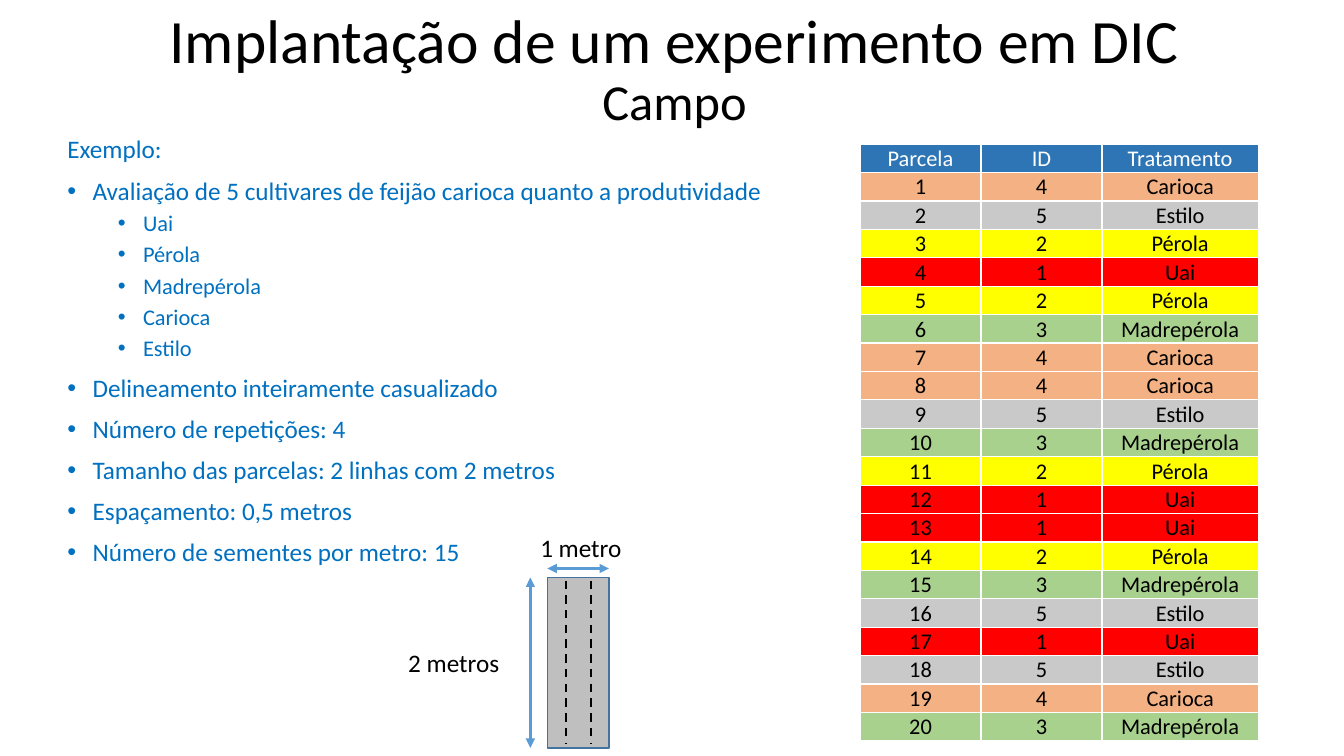
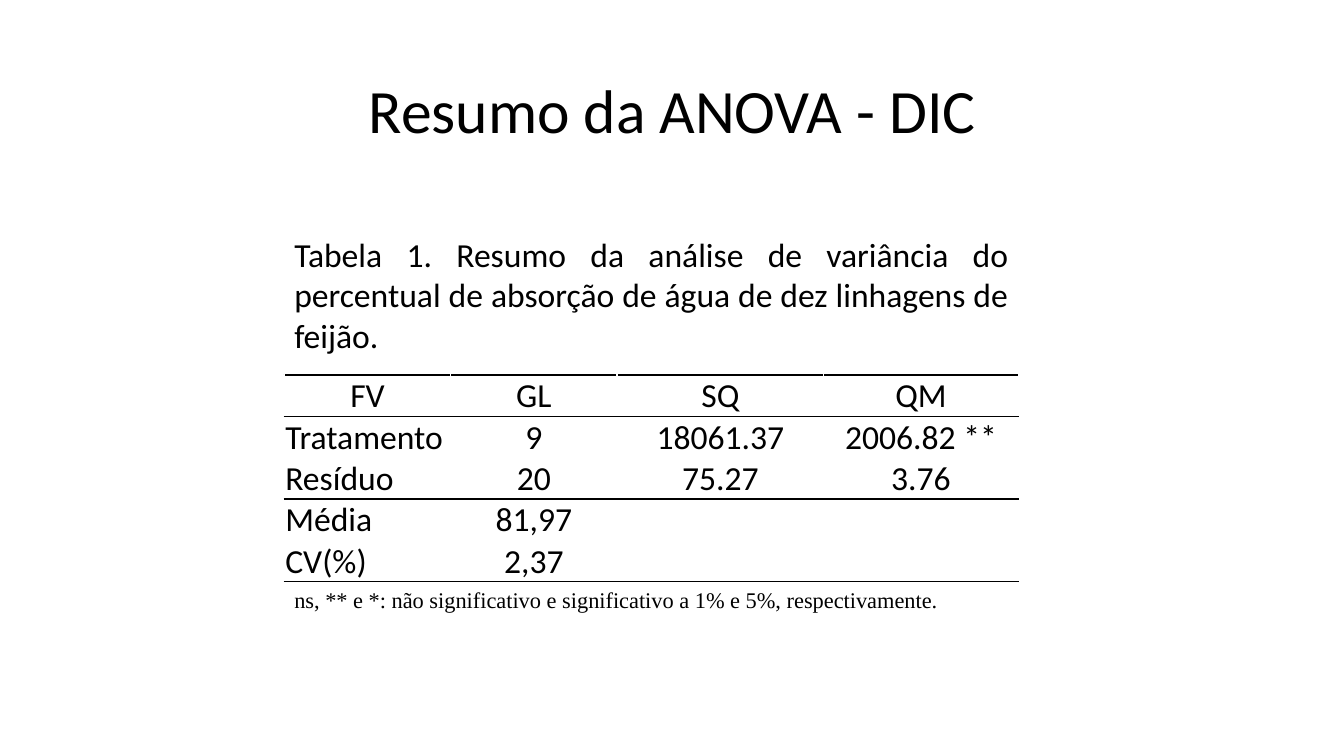
from dataclasses import dataclass

from lxml import etree
from pptx import Presentation
from pptx import util as u
from pptx.dml.color import RGBColor
from pptx.enum import dml, shapes, text
from pptx.oxml.ns import qn

I = u.Inches
AL, ANC = text.PP_ALIGN, text.MSO_ANCHOR


@dataclass(frozen=True)
class Theme:
    font: str = "Calibri"
    note_font: str = "Times New Roman"
    black: str = "000000"
    white: str = "FFFFFF"
    blue: str = "0070C0"
    header: str = "2E75B6"
    arrow: str = "5B9BD5"
    plot: str = "BFBFBF"
    plot_line: str = "43739E"
    title: int = 44
    subtitle: int = 36
    large: int = 24
    body: int = 18
    small: int = 16


T = Theme()

# Cultivar number: name and colour
CULTIVARS = {
    1: ("Uai", "FF0000"),
    2: ("Pérola", "FFFF00"),
    3: ("Madrepérola", "A9D18E"),
    4: ("Carioca", "F4B183"),
    5: ("Estilo", "C9C9C9"),
}
DRAW = [4, 5, 2, 1, 2, 3, 4, 4, 5, 3, 2, 1, 1, 2, 3, 5, 1, 5, 4, 3]

TOPICS = [
    "Avaliação de 5 cultivares de feijão carioca quanto a produtividade",
    "Delineamento inteiramente casualizado",
    "Número de repetições: 4",
    "Tamanho das parcelas: 2 linhas com 2 metros",
    "Espaçamento: 0,5 metros",
    "Número de sementes por metro: 15",
]

ANOVA = [
    ["FV", "GL", "SQ", "QM"],
    ["Tratamento", "9", "18061.37", "2006.82 **"],
    ["Resíduo", "20", "75.27", "3.76"],
    ["Média", "81,97", "", ""],
    ["CV(%)", "2,37", "", ""],
]


def rgb(color):
    return RGBColor.from_string(color)


def put(obj, values):
    for name, value in values.items():
        setattr(obj, name, value)


def add_run(p, words, size, color=T.black, font=T.font):
    r = p.add_run()
    r.text = words
    put(r.font, {"name": font, "size": u.Pt(size)})
    r.font.color.rgb = rgb(color)


def add_title(s, box, lines):
    """Title with one (words, size) pair per line."""
    sp = s.shapes.title
    put(sp, dict(zip(("left", "top", "width", "height"), map(I, box))))
    tf = sp.text_frame
    put(tf, {"word_wrap": True, "vertical_anchor": ANC.MIDDLE,
             "auto_size": text.MSO_AUTO_SIZE.NONE})
    p = tf.paragraphs[0]
    put(p, {"alignment": AL.CENTER, "line_spacing": 0.9})
    for i, (words, size) in enumerate(lines):
        if i:
            p.add_line_break()
        add_run(p, words, size)


def add_text(s, box, words, size, wrap=True, align=AL.LEFT, font=T.font):
    tf = s.shapes.add_textbox(*map(I, box)).text_frame
    put(tf, {"word_wrap": wrap, "auto_size": text.MSO_AUTO_SIZE.SHAPE_TO_FIT_TEXT})
    p = tf.paragraphs[0]
    p.alignment = align
    add_run(p, words, size, font=font)


def add_bullet(p, level):
    pPr = p._p.get_or_add_pPr()
    pPr.set("marL", str(I(0.25 + 0.5 * level)))
    pPr.set("indent", str(-I(0.25)))
    etree.SubElement(pPr, qn("a:buFont"), typeface="Arial")
    etree.SubElement(pPr, qn("a:buChar"), char="•")
    p.level = level


def add_line(s, start, end, color, width, dash=None, arrows=False):
    c = s.shapes.add_connector(shapes.MSO_CONNECTOR.STRAIGHT,
                               *map(I, (*start, *end)))
    c.line.color.rgb = rgb(color)
    c.line.width = u.Pt(width)
    if dash:
        c.line.dash_style = dash
    if arrows:
        for tag in ("a:headEnd", "a:tailEnd"):
            etree.SubElement(c.line._ln, qn(tag), type="triangle")
    etree.SubElement(c._element.spPr, qn("a:effectLst"))


def add_border(cell, sides, color):
    """Sides are given in the order L, R, T, B."""
    for side in sides:
        ln = etree.SubElement(cell._tc.get_or_add_tcPr(), qn("a:ln" + side),
                              w=str(u.Pt(1)))
        fill = etree.SubElement(ln, qn("a:solidFill"))
        etree.SubElement(fill, qn("a:srgbClr"), val=color)


def add_grid(s, at, widths, row_height, rows, style):
    """Table; style(row, column) gives the look of a cell."""
    tbl = s.shapes.add_table(len(rows), len(widths), I(at[0]), I(at[1]),
                             I(sum(widths)), I(row_height * len(rows))).table
    put(tbl, {"first_row": False, "horz_banding": False})
    for col, width in zip(tbl.columns, widths):
        col.width = I(width)
    for i, row in enumerate(rows):
        tbl.rows[i].height = I(row_height)
        for j, words in enumerate(row):
            look = style(i, j)
            cell = tbl.cell(i, j)
            put(cell, {"margin_left": I(0.01), "margin_right": I(0.01),
                       "margin_top": I(0.01), "margin_bottom": 0,
                       "vertical_anchor": look["anchor"]})
            add_border(cell, look["sides"], look["border"])
            if look["fill"]:
                cell.fill.solid()
                cell.fill.fore_color.rgb = rgb(look["fill"])
            else:
                cell.fill.background()
            p = cell.text_frame.paragraphs[0]
            p.alignment = look["align"]
            if words:
                add_run(p, words, look["size"], look["color"])


def example_text(s, box):
    tf = s.shapes.add_textbox(*map(I, box)).text_frame
    tf.word_wrap = True
    names = [(name, 1) for name, _ in CULTIVARS.values()]
    topics = [(topic, 0) for topic in TOPICS]
    items = [("Exemplo:", None), topics[0], *names, *topics[1:]]
    for i, (words, level) in enumerate(items):
        p = tf.add_paragraph() if i else tf.paragraphs[0]
        if level is not None:
            add_bullet(p, level)
        put(p, {"alignment": AL.JUSTIFY, "line_spacing": 0.9})
        if i:
            p.space_before = u.Pt(5 if level else 10)
        add_run(p, words, T.small if level else T.body, T.blue)


def draw_table(s, at):
    rows = [["Parcela", "ID", "Tratamento"]]
    rows += [[str(n), str(k), CULTIVARS[k][0]] for n, k in enumerate(DRAW, 1)]

    def style(i, j):
        return {"anchor": ANC.BOTTOM, "align": AL.CENTER, "size": T.small,
                "sides": "LRTB", "border": T.white,
                "color": T.black if i else T.white,
                "fill": CULTIVARS[DRAW[i - 1]][1] if i else T.header}

    add_grid(s, at, [1.2, 1.2, 1.55], 0.28, rows, style)


def plot_sketch(s, box):
    """Plot with two sowing rows and its measures."""
    x, y, w, h = box
    sp = s.shapes.add_shape(shapes.MSO_SHAPE.RECTANGLE, *map(I, box))
    sp.shadow.inherit = False
    sp.fill.solid()
    sp.fill.fore_color.rgb = rgb(T.plot)
    sp.line.color.rgb = rgb(T.plot_line)
    sp.line.width = u.Pt(1)
    # Sowing rows
    for dx in (0.18, 0.43):
        add_line(s, (x + dx, y + 0.03), (x + dx, y + h - 0.05), T.black, 1.5,
                 dash=dml.MSO_LINE.DASH)
    # Measures
    for start, end in (((x - 0.17, y), (x - 0.17, y + h)),
                       ((x, y - 0.09), (x + w, y - 0.09))):
        add_line(s, start, end, T.arrow, 2.25, arrows=True)
    add_text(s, (x - 1.48, y + 0.64, 1.11, 0.4), "2 metros", T.body, wrap=False)
    add_text(s, (x - 0.17, y - 0.5, 1.02, 0.4), "1 metro", T.body, wrap=False)


def anova_table(s, box):
    """Caption, table and footnote, stacked in the box."""
    x, y, w, _ = box
    add_text(s, (x, y, w, 1.31),
             "Tabela 1. Resumo da análise de variância do percentual de "
             "absorção de água de dez linhagens de feijão.",
             T.large, align=AL.JUSTIFY)
    ruled = {0, 2, 4}  # rows with a line below

    def style(i, j):
        top = "T" if i == 0 or i - 1 in ruled else ""
        return {"anchor": ANC.MIDDLE, "size": T.large, "color": T.black,
                "align": AL.CENTER if i == 0 or j else AL.LEFT, "fill": None,
                "sides": top + ("B" if i in ruled else ""), "border": T.black}

    add_grid(s, (x, y + 1.45), [1.65, 1.65, 2.05, 1.93], 0.41, ANOVA, style)
    add_text(s, (x, y + 3.5, w, 0.37),
             "ns, ** e *: não significativo e significativo a 1% e 5%, "
             "respectivamente.", T.small, font=T.note_font)


def field_slide(s):
    add_title(s, (0.94, -0.02, 11.5, 1.45),
              [("Implantação de um experimento em DIC", T.title),
               ("Campo", T.subtitle)])
    draw_table(s, (8.53, 1.43))
    example_text(s, (0.57, 1.31, 7.21, 6.19))
    plot_sketch(s, (5.43, 5.73, 0.61, 1.69))


def anova_slide(s):
    add_title(s, (0.92, 0.4, 11.5, 1.45), [("Resumo da ANOVA - DIC", T.title)])
    anova_table(s, (2.82, 2.27, 7.28, 3.87))


def main():
    prs = Presentation()
    put(prs, {"slide_width": I(13.33), "slide_height": I(7.5)})
    for build in (field_slide, anova_slide):
        build(prs.slides.add_slide(prs.slide_layouts[5]))
    prs.save("out.pptx")


if __name__ == "__main__":
    main()
